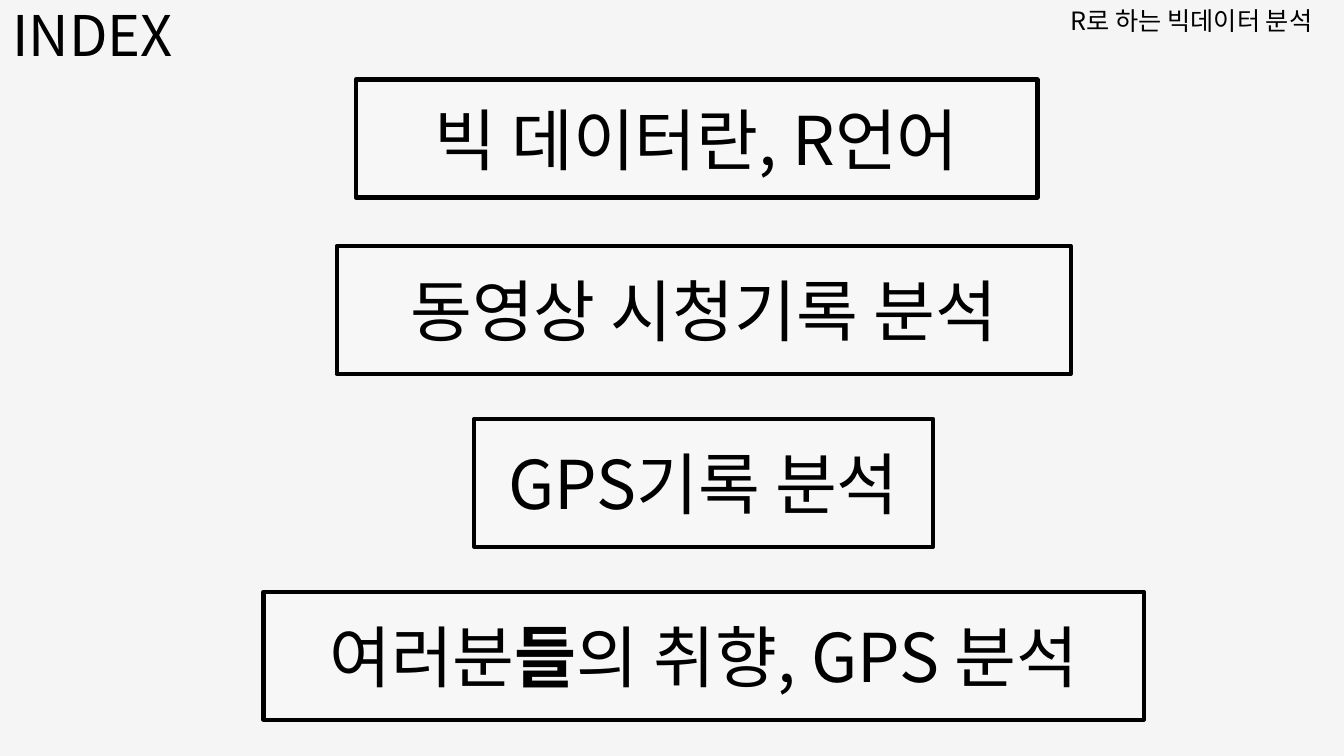
import pptx
import pptx.dml.color
import pptx.enum.shapes
import pptx.enum.text
import pptx.oxml
import pptx.oxml.ns
import pptx.util

FONT = "Noto Sans CJK KR"
WIDTH, HEIGHT = pptx.util.Inches(13.33), pptx.util.Inches(7.5)
ALIGN = pptx.enum.text.PP_ALIGN
ANCHOR = pptx.enum.text.MSO_ANCHOR


def rgb(value):
    """Turn a hex string into a colour."""
    return pptx.dml.color.RGBColor.from_string(value)


def frame(left, top, width, height):
    """Convert percentages of the slide to lengths."""
    return (int(WIDTH * left / 100), int(HEIGHT * top / 100),
            int(WIDTH * width / 100), int(HEIGHT * height / 100))


def write(sp, runs, size, align, anchor):
    """Fill a shape with one paragraph of (text, bold) runs."""
    tf = sp.text_frame
    tf.word_wrap = True
    tf.vertical_anchor = anchor
    p = tf.paragraphs[0]
    p.alignment = align
    for text, bold in runs:
        r = p.add_run()
        r.text = text
        r.font.size = pptx.util.Pt(size)
        r.font.bold = bold
        r.font.name = FONT
        r.font.color.rgb = rgb("000000")
        ea = pptx.oxml.parse_xml(
            f'<a:ea {pptx.oxml.ns.nsdecls("a")} typeface="{FONT}"/>')
        r.font._element.find(pptx.oxml.ns.qn("a:latin")).addnext(ea)
    return p


def add_label(s, box, text, size, align, anchor):
    """Add a plain text box."""
    sp = s.shapes.add_textbox(*frame(*box))
    return write(sp, [(text, False)], size, align, anchor)


def add_topic(s, center, top, width, height, runs):
    """Add an outlined, translucent topic box centred on a column."""
    sp = s.shapes.add_shape(pptx.enum.shapes.MSO_SHAPE.RECTANGLE,
                            *frame(center - width / 2, top, width, height))
    sp.shadow.inherit = False
    sp.fill.solid()
    sp.fill.fore_color.rgb = rgb("FFFFFF")
    color = sp._element.spPr.find(".//" + pptx.oxml.ns.qn("a:srgbClr"))
    color.append(pptx.oxml.parse_xml(
        f'<a:alpha {pptx.oxml.ns.nsdecls("a")} val="28000"/>'))
    sp.line.color.rgb = rgb("000000")
    sp.line.width = pptx.util.Pt(3)
    write(sp, runs, 48, ALIGN.CENTER, ANCHOR.MIDDLE)


def main():
    """Build the index slide."""
    prs = pptx.Presentation()
    prs.slide_width, prs.slide_height = WIDTH, HEIGHT
    s = prs.slides.add_slide(prs.slide_layouts[6])
    s.background.fill.solid()
    s.background.fill.fore_color.rgb = rgb("F5F5F5")

    add_topic(s, 51.84, 10.53, 50.71, 15.6, [("빅 데이터란, R언어", False)])
    topics = [
        (54.61, [("동영상 시청기록 분석", False)]),
        (34.13, [("GPS기록 분석", False)]),
        (65.49, [("여러분", False), ("들", True),
                 ("의 취향, GPS 분석", False)]),
    ]
    for row, (width, runs) in enumerate(topics):
        add_topic(s, 52.36, 32.53 + row * 22.87, width, 16.93, runs)

    add_label(s, (78.92, 0, 21.08, 5.33), "R로 하는 빅데이터 분석", 18,
              ALIGN.LEFT, ANCHOR.TOP)
    title = add_label(s, (0, 0, 13.8, 9.73), "INDEX", 40,
                      ALIGN.CENTER, ANCHOR.BOTTOM)
    title.line_spacing = 0.9
    prs.save("out.pptx")


main()
